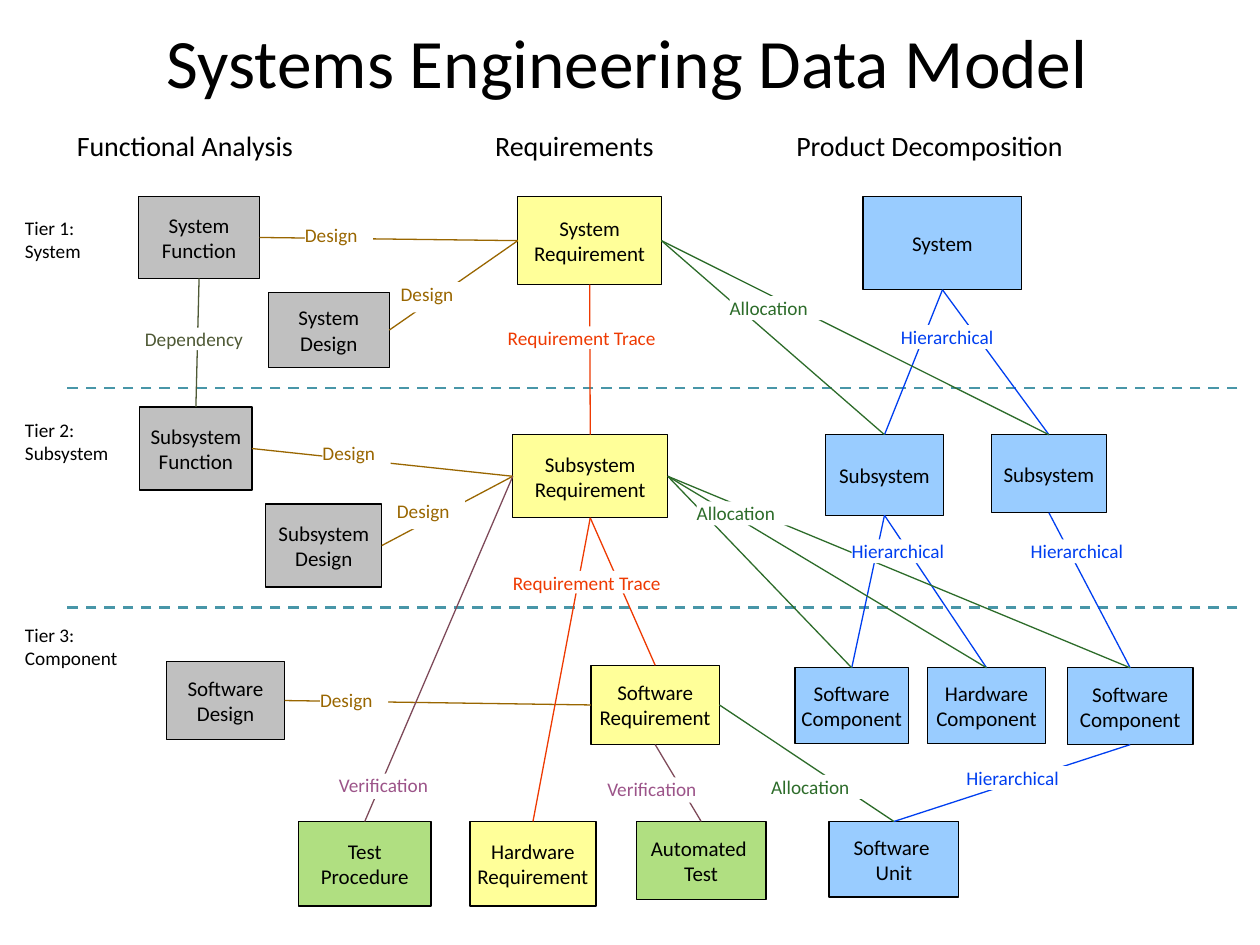
from typing import NamedTuple, Optional

from pptx import Presentation
from pptx import util as u
from pptx.dml.color import RGBColor
from pptx.enum import dml, shapes, text
from pptx.oxml import parse_xml
from pptx.oxml.ns import nsdecls

FONT = "Calibri"
BLACK, WHITE = "000000", "FFFFFF"
GRAY, YELLOW, BLUE, GREEN = "C0C0C0", "FFFF99", "99CCFF", "B0DF81"
TOP, LEFT, BOTTOM, RIGHT = range(4)  # connection sites of a rectangle


class Box(NamedTuple):
    key: str
    caption: str
    fill: str
    left: float
    top: float
    width: float
    height: float


class Relation(NamedTuple):
    line_color: str
    label_color: str
    label_width: float
    label_height: float


class Link(NamedTuple):
    relation: str
    start: str
    start_site: int
    end: str
    end_site: int


class Label(NamedTuple):
    relation: str
    left: float
    top: float


BOXES = [
    Box("system function", "System\nFunction", GRAY, 1.1, 1.56, 0.96, 0.65),
    Box("system design", "System\nDesign", GRAY, 2.13, 2.32, 0.96, 0.6),
    Box("subsystem function", "Subsystem\nFunction", GRAY, 1.11, 3.23, 0.89, 0.66),
    Box("subsystem design", "Subsystem\nDesign", GRAY, 2.11, 4, 0.92, 0.66),
    Box("software design", "Software\nDesign", GRAY, 1.32, 5.25, 0.94, 0.62),
    Box("system req", "System\nRequirement", YELLOW, 4.11, 1.56, 1.14, 0.7),
    Box("subsystem req", "Subsystem\nRequirement", YELLOW, 4.07, 3.45, 1.23, 0.66),
    Box("software req", "Software\nRequirement", YELLOW, 4.69, 5.28, 1.02, 0.63),
    Box("hardware req", "Hardware\nRequirement", YELLOW, 3.73, 6.52, 1, 0.67),
    Box("test procedure", "Test\nProcedure", GREEN, 2.37, 6.52, 1.05, 0.67),
    Box("automated test", "Automated \nTest", GREEN, 5.05, 6.52, 1.03, 0.62),
    Box("system", "System", BLUE, 6.85, 1.56, 1.26, 0.74),
    Box("subsystem 1", "Subsystem", BLUE, 6.55, 3.45, 0.94, 0.64),
    Box("subsystem 2", "Subsystem", BLUE, 7.87, 3.45, 0.91, 0.62),
    Box("software 1", "Software\nComponent", BLUE, 6.31, 5.3, 0.9, 0.6),
    Box("hardware", "Hardware\nComponent", BLUE, 7.36, 5.3, 0.94, 0.6),
    Box("software 2", "Software\nComponent", BLUE, 8.47, 5.3, 1, 0.61),
    Box("software unit", "Software \nUnit", BLUE, 6.58, 6.52, 1.03, 0.6),
]

RELATIONS = {
    "Design": Relation("996600", "996600", 0.54, 0.24),
    "Dependency": Relation("4E5935", "4E5935", 0.91, 0.18),
    "Requirement Trace": Relation("EE3A02", "EE3A02", 1.34, 0.18),
    "Verification": Relation("7E4A5A", "9C5489", 0.86, 0.2),
    "Allocation": Relation("2D6C2A", "2D6C2A", 0.86, 0.19),
    "Hierarchical": Relation("003FF0", "003FF0", 0.86, 0.19),
}

LINKS = [
    Link("Design", "system function", RIGHT, "system req", LEFT),
    Link("Design", "system design", RIGHT, "system req", LEFT),
    Link("Design", "subsystem function", RIGHT, "subsystem req", LEFT),
    Link("Design", "subsystem design", RIGHT, "subsystem req", LEFT),
    Link("Design", "software design", RIGHT, "software req", LEFT),
    Link("Dependency", "system function", BOTTOM, "subsystem function", TOP),
    Link("Verification", "subsystem req", LEFT, "test procedure", TOP),
    Link("Verification", "software req", BOTTOM, "automated test", TOP),
    Link("Requirement Trace", "system req", BOTTOM, "subsystem req", TOP),
    Link("Requirement Trace", "subsystem req", BOTTOM, "hardware req", TOP),
    Link("Requirement Trace", "subsystem req", BOTTOM, "software req", TOP),
    Link("Hierarchical", "system", BOTTOM, "subsystem 1", TOP),
    Link("Hierarchical", "system", BOTTOM, "subsystem 2", TOP),
    Link("Hierarchical", "subsystem 1", BOTTOM, "software 1", TOP),
    Link("Hierarchical", "subsystem 1", BOTTOM, "hardware", TOP),
    Link("Hierarchical", "subsystem 2", BOTTOM, "software 2", TOP),
    Link("Hierarchical", "software 2", BOTTOM, "software unit", TOP),
    Link("Allocation", "system req", RIGHT, "subsystem 1", TOP),
    Link("Allocation", "system req", RIGHT, "subsystem 2", TOP),
    Link("Allocation", "subsystem req", RIGHT, "software 1", TOP),
    Link("Allocation", "subsystem req", RIGHT, "hardware", TOP),
    Link("Allocation", "subsystem req", RIGHT, "software 2", TOP),
    Link("Allocation", "software req", RIGHT, "software unit", TOP),
]

LABELS = [
    Label("Design", 2.42, 1.77),
    Label("Design", 3.18, 2.24),
    Label("Design", 2.56, 3.5),
    Label("Design", 3.15, 3.96),
    Label("Design", 2.54, 5.46),
    Label("Dependency", 1.15, 2.6),
    Label("Requirement Trace", 4.03, 2.59),
    Label("Requirement Trace", 4.07, 4.53),
    Label("Verification", 2.69, 6.14),
    Label("Verification", 4.82, 6.17),
    Label("Allocation", 5.79, 2.35),
    Label("Allocation", 5.53, 3.98),
    Label("Allocation", 6.12, 6.15),
    Label("Hierarchical", 7.15, 2.58),
    Label("Hierarchical", 6.76, 4.28),
    Label("Hierarchical", 8.18, 4.28),
    Label("Hierarchical", 7.67, 6.08),
]

HEADINGS = [
    ("Functional Analysis", 0.61, 2.14),
    ("Requirements", 3.93, 1.52),
    ("Product Decomposition", 6.32, 2.46),
]
TIERS = [("Tier 1:\nSystem", 1.67), ("Tier 2:\nSubsystem", 3.27), ("Tier 3:\nComponent", 4.9)]
TIER_BORDERS = [3.08, 4.82]


def rgb(color: str) -> RGBColor:
    return RGBColor.from_string(color)


def write(shape, caption: str, size: float, color: str = BLACK,
          align=text.PP_ALIGN.LEFT, anchor=text.MSO_ANCHOR.TOP, wrap: bool = True) -> None:
    """Put each line of the caption in its own paragraph."""
    frame = shape.text_frame
    frame.word_wrap = wrap
    frame.vertical_anchor = anchor
    for index, line in enumerate(caption.split("\n")):
        paragraph = frame.add_paragraph() if index else frame.paragraphs[0]
        paragraph.alignment = align
        run = paragraph.add_run()
        run.text = line
        run.font.name = FONT
        run.font.size = u.Pt(size)
        run.font.color.rgb = rgb(color)


def add_rectangle(slide, left: float, top: float, width: float, height: float,
                  fill: str, outline: Optional[str] = None):
    shape = slide.shapes.add_shape(
        shapes.MSO_SHAPE.RECTANGLE, *map(u.Inches, (left, top, width, height)))
    shape.shadow.inherit = False
    shape.fill.solid()
    shape.fill.fore_color.rgb = rgb(fill)
    if outline:
        shape.line.color.rgb = rgb(outline)
        shape.line.width = u.Pt(0.75)
    else:
        shape.line.fill.background()
    return shape


def add_box(slide, box: Box):
    shape = add_rectangle(slide, box.left, box.top, box.width, box.height, box.fill, BLACK)
    write(shape, box.caption, 12, align=text.PP_ALIGN.CENTER,
          anchor=text.MSO_ANCHOR.MIDDLE, wrap=False)
    return shape


def add_label(slide, caption: str, left: float, top: float, width: float, height: float,
              size: float, color: str) -> None:
    """Add text on a white patch without margins."""
    shape = add_rectangle(slide, left, top, width, height, WHITE)
    frame = shape.text_frame
    frame.margin_left = frame.margin_top = frame.margin_right = frame.margin_bottom = 0
    write(shape, caption, size, color)


def add_line(slide, color: str, width: float, ends=(0, 0, 0, 0)):
    line = slide.shapes.add_connector(shapes.MSO_CONNECTOR.STRAIGHT, *map(u.Inches, ends))
    line.line.color.rgb = rgb(color)
    line.line.width = u.Pt(width)
    line._element.spPr.append(parse_xml(f"<a:effectLst {nsdecls('a')}/>"))
    return line


def add_text(slide, caption: str, left: float, top: float, width: float, size: float, **style) -> None:
    box = slide.shapes.add_textbox(*map(u.Inches, (left, top, width, 0.73)))
    write(box, caption, size, **style)


def main() -> None:
    presentation = Presentation()
    presentation.slide_width, presentation.slide_height = u.Inches(10), u.Inches(7.5)
    slide = presentation.slides.add_slide(presentation.slide_layouts[6])

    add_text(slide, "Systems Engineering Data Model", 0.73, 0.12, 8.5, 39.6,
             align=text.PP_ALIGN.CENTER, anchor=text.MSO_ANCHOR.MIDDLE)
    for caption, left, width in HEADINGS:
        add_label(slide, caption, left, 1.02, width, 0.3, 16, BLACK)
    for caption, top in TIERS:
        add_text(slide, caption, 0.1, top, 1.44, 11)
    for y in TIER_BORDERS:
        border = add_line(slide, "4896A8", 1.5, (9.82, y, 0.49, y))
        border.line.dash_style = dml.MSO_LINE.DASH

    boxes = {box.key: add_box(slide, box) for box in BOXES}
    for link in LINKS:
        line = add_line(slide, RELATIONS[link.relation].line_color, 0.75)
        line.begin_connect(boxes[link.start], link.start_site)
        line.end_connect(boxes[link.end], link.end_site)
    for label in LABELS:
        relation = RELATIONS[label.relation]
        add_label(slide, label.relation, label.left, label.top, relation.label_width,
                  relation.label_height, 11, relation.label_color)

    presentation.save("out.pptx")


if __name__ == "__main__":
    main()
